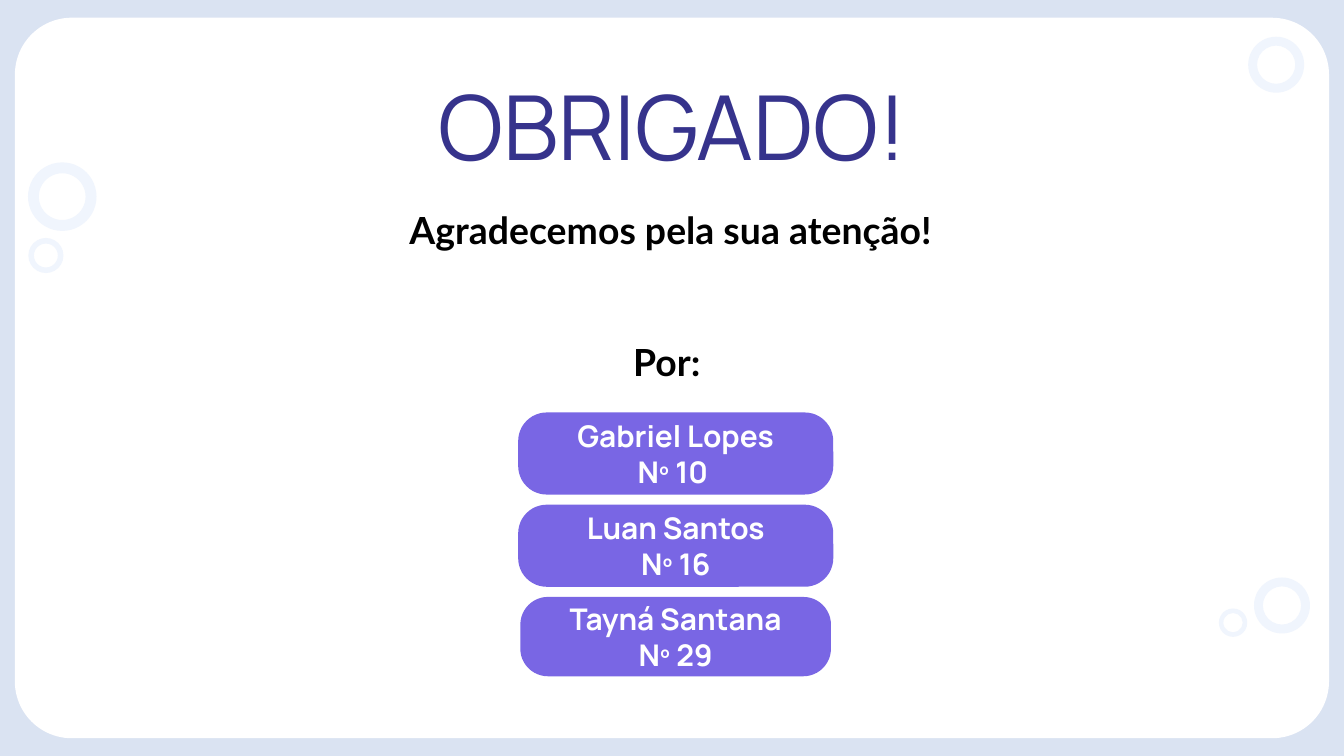
from pptx import Presentation
from pptx.dml.color import RGBColor
from pptx.enum.shapes import MSO_SHAPE
from pptx.enum.text import MSO_ANCHOR, PP_ALIGN
from pptx.util import Pt

ROUNDED, DONUT = MSO_SHAPE.ROUNDED_RECTANGLE, MSO_SHAPE.DONUT
MIDDLE, TOP = MSO_ANCHOR.MIDDLE, MSO_ANCHOR.TOP
CENTER = PP_ALIGN.CENTER

WHITE, BACKDROP, BUBBLE, PILL = "FFFFFF", "DAE3F2", "F0F5FD", "7966E4"
TITLE_FONT = {"name": "Manrope", "size": Pt(48), "bold": False}
NAME_FONT = {"name": "Manrope", "size": Pt(16), "bold": True}
BODY_FONT = {"name": "Lato", "size": Pt(20), "bold": True}

BUBBLES = [(15, 87, 36.7), (653, 326, 15.2), (668.7, 19.7, 30), (15.2, 127.5, 18.8), (671.8, 309.4, 30)]
AUTHORS = [
    (["Gabriel Lopes", "Nº 10 "], 168.8, 44),
    (["Luan Santos", "Nº 16"], 168.8, 44),
    (["Tayná Santana", "Nº 29"], 166.4, 42.5),
]


def color(hex_code):
    """Turn a hex string into a colour."""
    return RGBColor.from_string(hex_code)


def add_figure(slide, preset, box, fill, adjustment):
    """Draw a flat preset shape without outline in the box."""
    figure = slide.shapes.add_shape(preset, *map(Pt, box))
    figure.adjustments[0] = adjustment
    figure.shadow.inherit = False
    figure.fill.solid()
    figure.fill.fore_color.rgb = color(fill)
    figure.line.fill.background()
    return figure


def write(holder, lines, font_format, hex_code, anchor):
    """Write centred lines into a shape or text box."""
    frame = holder.text_frame
    frame_format = {"word_wrap": True, "vertical_anchor": anchor}
    sides = ("left", "top", "right", "bottom")
    frame_format.update({f"margin_{side}": Pt(7.2) for side in sides})
    for key, value in frame_format.items():
        setattr(frame, key, value)
    frame.text = "\n".join(lines)
    for paragraph in frame.paragraphs:
        paragraph.alignment = CENTER
        font = paragraph.runs[0].font
        font.color.rgb = color(hex_code)
        for key, value in font_format.items():
            setattr(font, key, value)


def add_label(slide, box, wording, font_format, hex_code, anchor=TOP):
    """Place one line of free text in the box."""
    label = slide.shapes.add_textbox(*map(Pt, box))
    write(label, [wording], font_format, hex_code, anchor)


def add_backdrop(slide, box):
    """Place the white card on the tinted background, with its bubbles."""
    slide.background.fill.solid()
    slide.background.fill.fore_color.rgb = color(BACKDROP)
    left, top, width, height = box
    add_figure(slide, ROUNDED, box, WHITE, 0.079)
    for x, y, diameter in BUBBLES:
        bubble_box = (left - 8 + x, top - 9.5 + y, diameter, diameter)
        add_figure(slide, DONUT, bubble_box, BUBBLE, 0.159)


def add_thanks(slide, box):
    """Place the title, the thanks and the byline within the box."""
    left, top, width, height = box
    add_label(slide, (left + 21.6, top, 298.8, 56), "OBRIGADO!", TITLE_FONT, "36338C", MIDDLE)
    add_label(slide, (left, top + 64.8, width, 85.7), "Agradecemos pela sua atenção!", BODY_FONT, "000000")
    add_label(slide, (left + 126, top + 135.4, 88.6, 31), "Por: ", BODY_FONT, "000000")


def add_authors(slide, box):
    """Stack the author pills evenly, centred across the box."""
    left, top, width, height = box
    pitch = (height - AUTHORS[-1][2]) / (len(AUTHORS) - 1)
    for index, (lines, pill_width, pill_height) in enumerate(AUTHORS):
        x = left + (width - pill_width) / 2
        pill_box = (x, top + index * pitch, pill_width, pill_height)
        pill = add_figure(slide, ROUNDED, pill_box, PILL, 0.348)
        write(pill, lines, NAME_FONT, WHITE, MIDDLE)


def main():
    """Build the closing slide and save it."""
    deck = Presentation()
    deck.slide_width, deck.slide_height = Pt(720), Pt(405)
    slide = deck.slides.add_slide(deck.slide_layouts[6])
    add_backdrop(slide, (8, 9.5, 704, 386))
    add_authors(slide, (277.6, 221, 168.8, 141.3))
    add_thanks(slide, (189.4, 38.9, 339.8, 166.4))
    deck.save("out.pptx")


if __name__ == "__main__":
    main()
